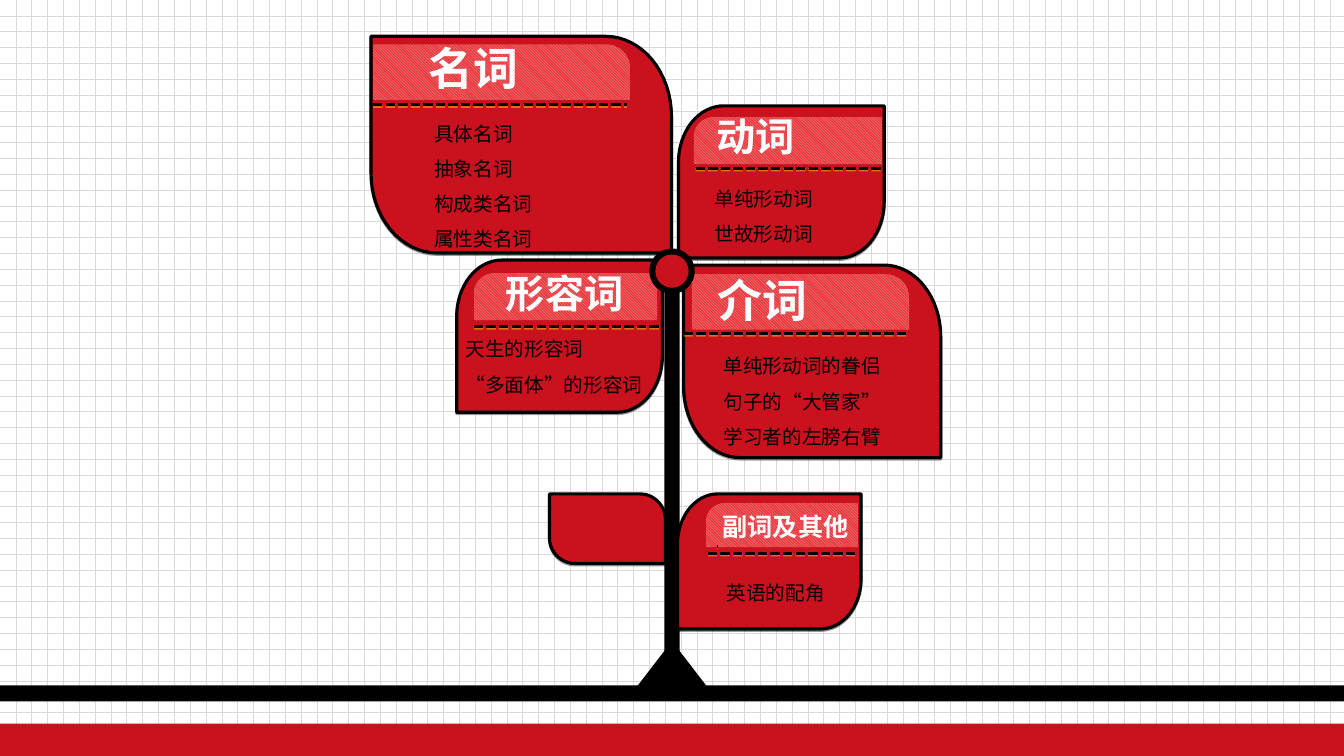
from dataclasses import dataclass
from math import cos, pi, sin

from lxml.etree import SubElement
from pptx import Presentation
from pptx.dml.color import RGBColor
from pptx.enum.dml import MSO_LINE, MSO_PATTERN
from pptx.enum.shapes import MSO_CONNECTOR, MSO_SHAPE as Kind
from pptx.enum.text import MSO_AUTO_SIZE, PP_ALIGN as Align
from pptx.oxml.ns import qn
from pptx.util import Inches, Pt


@dataclass(frozen=True)
class Theme:
    black: str = "000000"
    white: str = "FFFFFF"
    red: str = "CA111E"
    grid: str = "D9D9D9"
    rose: str = "EE3643"
    tan: str = "D3B694"
    glow: str = "FFFF00"
    font: str = "Noto Sans CJK SC"
    body: int = 14
    line: float = 2.25


@dataclass(frozen=True)
class Card:
    """A leaf; all boxes but its own are measured from its top left corner."""
    box: tuple
    right: bool
    title: str
    size: int
    head: tuple
    band: tuple
    seam: tuple
    items: tuple
    text: tuple


THEME = Theme()
WIDE, HIGH = 13.33, 7.5
STUB = (5.45, 4.9, 1.15, 0.69)
CROWN = [
    Card((6.73, 1.05, 2.04, 1.51), False, "动词", 28, (0, 0.1, 1.53, 0.48),
         (0.15, 0.11, 1.87, 0.47), (0.17, 2.03, 0.62),
         ("单纯形动词", "世故形动词"), (0.26, 0.64, 1.93, 0.77)),
    Card((6.78, 2.63, 2.55, 1.91), True, "介词", 32, (0.18, 0.13, 1.21, 0.53),
         (0.08, 0.09, 2.16, 0.55), (0, 2.21, 0.68),
         ("单纯形动词的眷侣", "句子的“大管家”", "学习者的左膀右臂"),
         (0.3, 0.72, 2.26, 1.12)),
    Card((4.53, 2.58, 2.04, 1.51), False, "形容词", 28, (0.27, 0.13, 1.6, 0.48),
         (0.17, 0.13, 1.82, 0.47), (0.17, 2.04, 0.66),
         ("天生的形容词", "“多面体”的形容词"), (-0.01, 0.6, 2.23, 1.51)),
    Card((3.68, 0.36, 2.98, 2.15), True, "名词", 32, (0.02, 0.1, 1.99, 0.53),
         (0.02, 0.08, 2.55, 0.55), (0.02, 2.54, 0.68),
         ("具体名词", "抽象名词", "构成类名词", "属性类名词"),
         (0.53, 0.68, 2.26, 1.51)),
]
LOW = Card((6.72, 4.9, 1.82, 1.34), False, "副词及其他", 18, (0.3, 0.18, 1.54, 0.34),
           (0.28, 0.09, 1.51, 0.44), (0.3, 1.79, 0.59),
           ("英语的配角",), (0.39, 0.7, 1.47, 0.41))


def rgb(code):
    return RGBColor.from_string(code)


def shift(box, part):
    return box[0] + part[0], box[1] + part[1], part[2], part[3]


def shade(item, color):
    """Cast a hard shadow one point down."""
    props = item._element.spPr
    list_ = props.find(qn("a:effectLst"))
    if list_ is None:
        list_ = SubElement(props, qn("a:effectLst"))
    cast = SubElement(list_, qn("a:outerShdw"), blurRad="0", dist=str(Pt(1)),
                      dir="5400000", algn="t", rotWithShape="0")
    tint = SubElement(cast, qn("a:srgbClr"), val=color)
    SubElement(tint, qn("a:alpha"), val="40000")


def solid(slide, kind, box, color):
    shape = slide.shapes.add_shape(kind, *map(Inches, box))
    shape.shadow.inherit = False
    shape.fill.solid()
    shape.fill.fore_color.rgb = rgb(color)
    shape.line.fill.background()


def petal(slide, box, right, rx, ry, both):
    """Round the top outer corner, and the opposite one if both is set."""
    left, top, wide, high = box
    turns = [pi / 2 * step / 16 for step in range(17)]
    arc = [(rx * (1 - cos(t)), ry * (1 - sin(t))) for t in turns]
    foot = [(1 - x, 1 - y) for x, y in arc] if both else [(1, 1)]
    points = [(Inches(left + wide * (1 - x if right else x)), Inches(top + high * y))
              for x, y in [*arc, (1, 0), *foot, (0, 1)]]
    form = slide.shapes.build_freeform(*points[0])
    form.add_line_segments(points[1:], close=True)
    shape = form.convert_to_shape()
    shape.shadow.inherit = False
    return shape


def leaf(slide, box, right):
    shape = petal(slide, box, right, 0.22, 0.37, True)
    shape.fill.solid()
    shape.fill.fore_color.rgb = rgb(THEME.red)
    shape.line.color.rgb = rgb(THEME.black)
    shape.line.width = Pt(THEME.line)
    shade(shape, THEME.black)


def hatch(fill, pattern, fore, back):
    fill.patterned()
    fill.pattern = pattern
    fill.fore_color.rgb = rgb(fore)
    fill.back_color.rgb = rgb(back)


def band(slide, box, right):
    shape = petal(slide, box, right, 0.43 * box[3] / box[2], 0.43, False)
    hatch(shape.fill, MSO_PATTERN.DARK_DOWNWARD_DIAGONAL, THEME.tan, THEME.rose)
    shape.line.fill.background()


def seam(slide, start, end, y):
    line = slide.shapes.add_connector(
        MSO_CONNECTOR.STRAIGHT, Inches(start), Inches(y), Inches(end), Inches(y))
    line.line.color.rgb = rgb(THEME.black)
    line.line.width = Pt(THEME.line)
    line.line.dash_style = MSO_LINE.SQUARE_DOT
    shade(line, THEME.glow)


def write(slide, box, lines, size, color, space, align=Align.LEFT, bold=False):
    frame = slide.shapes.add_textbox(*map(Inches, box)).text_frame
    frame.word_wrap = True
    frame.auto_size = MSO_AUTO_SIZE.SHAPE_TO_FIT_TEXT
    for row, line in enumerate(lines):
        para = frame.add_paragraph() if row else frame.paragraphs[0]
        para.alignment = align
        para.line_spacing = space
        run = para.add_run()
        run.text = line
        run.font.size = Pt(size)
        run.font.bold = bold
        run.font.name = THEME.font
        run.font.color.rgb = rgb(color)
        props = run._r.get_or_add_rPr()
        props.set("lang", "zh-CN")
        SubElement(props, qn("a:ea"), typeface=THEME.font)


def label(slide, card):
    """Fill a leaf with its band, seam, title and items."""
    left, top = card.box[:2]
    start, end, y = card.seam
    band(slide, shift(card.box, card.band), card.right)
    seam(slide, left + start, left + end, top + y)
    write(slide, shift(card.box, card.head), [card.title], card.size,
          THEME.white, 0.8, Align.CENTER, True)
    write(slide, shift(card.box, card.text), card.items, THEME.body,
          THEME.black, 1.5)


def trunk(slide, box):
    """Draw the stem in its box, with a hub at the top and a foot below."""
    left, top, wide, high = box
    mid = left + wide / 2
    solid(slide, Kind.ISOSCELES_TRIANGLE, (mid - 0.4, top + 3.65, 0.8, 0.52), THEME.black)
    solid(slide, Kind.RECTANGLE, box, THEME.black)
    for size, color in ((0.45, THEME.black), (0.33, THEME.red)):
        hub = (mid - size / 2, top - 0.02 - size / 2, size, size)
        solid(slide, Kind.OVAL, hub, color)


def main():
    deck = Presentation()
    deck.slide_width, deck.slide_height = Inches(WIDE), Inches(HIGH)
    slide = deck.slides.add_slide(deck.slide_layouts[6])
    hatch(slide.background.fill, MSO_PATTERN.DOTTED_GRID, THEME.grid, THEME.white)
    solid(slide, Kind.RECTANGLE, (0, 6.8, WIDE, 0.16), THEME.black)
    solid(slide, Kind.RECTANGLE, (0, 7.18, WIDE, 0.32), THEME.red)
    leaf(slide, STUB, True)
    for card in CROWN:
        leaf(slide, card.box, card.right)
    for card in CROWN:
        label(slide, card)
    trunk(slide, (6.59, 2.71, 0.15, 3.95))
    leaf(slide, LOW.box, LOW.right)
    label(slide, LOW)
    seam(slide, 7.11, 7.12, 5.42)
    deck.save("out.pptx")


if __name__ == "__main__":
    main()
